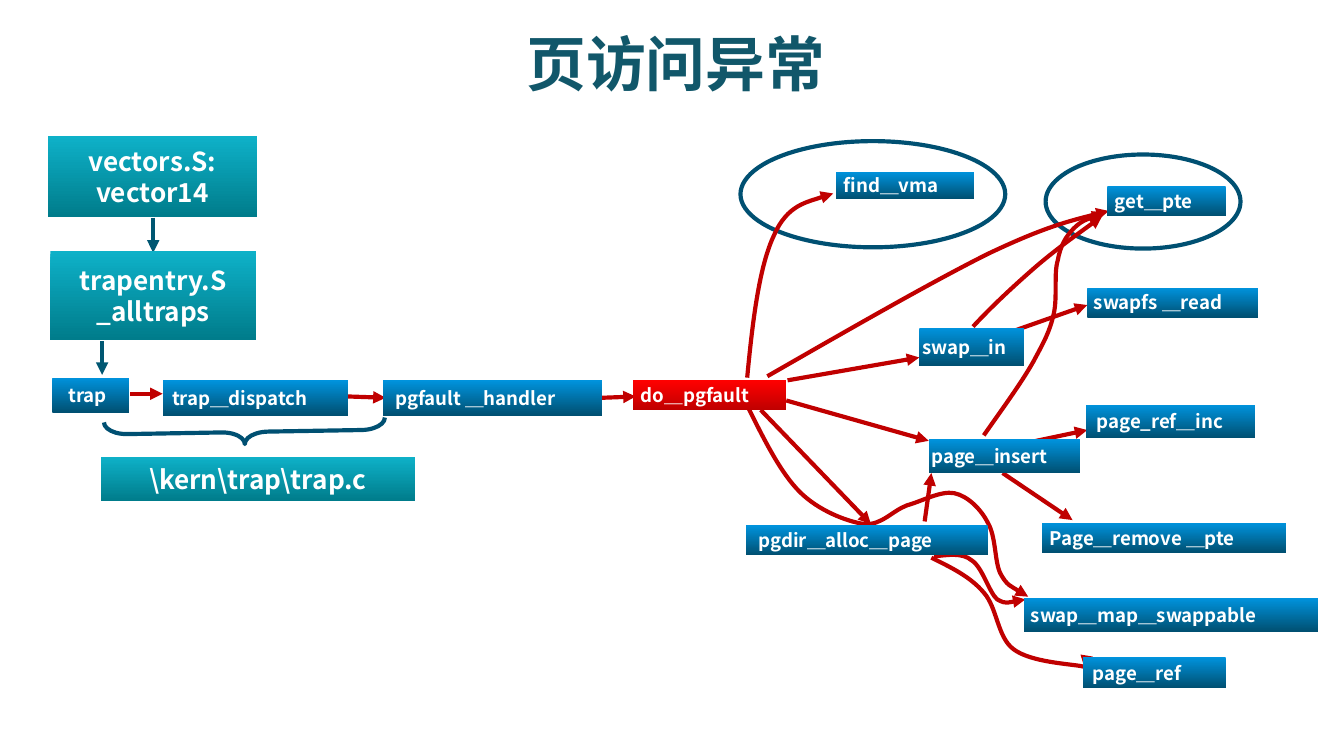
from dataclasses import dataclass

from lxml.etree import SubElement
from pptx import Presentation
from pptx.dml.color import RGBColor
from pptx.enum.shapes import MSO_CONNECTOR, MSO_SHAPE
from pptx.enum.text import MSO_ANCHOR, PP_ALIGN
from pptx.oxml.ns import qn
from pptx.util import Inches, Pt


@dataclass(frozen=True)
class Theme:
    font: str = "Noto Sans CJK SC"
    title_size: int = 32
    file_size: int = 14
    function_size: int = 10
    line_width: float = 2.25
    title: str = "11576A"
    text: str = "FFFFFF"
    call: str = "C00000"
    outline: str = "005072"
    entry: str = "005772"
    file_fill: tuple = ("0EB1C8", "007C8B")
    function_fill: tuple = ("0093DD", "005072")
    fault_fill: tuple = ("FF0000", "C00000")


THEME = Theme()
COLUMNS = 100  # square grid cells across the slide width
WIDTH = Inches(10)
HEIGHT = WIDTH * 9 // 16

# Source files: text, left, top, width, height
FILES = [
    ("vectors.S:\nvector14", 3.55, 10.15, 15.6, 6),
    ("trapentry.S\n_alltraps", 3.75, 18.7, 15.3, 6.6),
    (r"\kern\trap\trap.c", 7.5, 34, 23.4, 3.3),
]

# Functions: name, left, top, width, height, text indent
FUNCTIONS = [
    ("trap", 3.9, 28.1, 5.7, 2.6, 1.2),
    ("trap＿dispatch", 12.1, 28.3, 13.8, 2.6, 0.7),
    ("pgfault ＿handler", 28.5, 28.3, 16.3, 2.6, 0.9),
    ("do＿pgfault", 47.1, 28.3, 11.4, 2.2, 0.6),
    ("find＿vma", 62.2, 12.8, 10.3, 2, 0.6),
    ("get＿pte", 82.4, 13.85, 8.8, 2.2, 0.55),
    ("swapfs ＿read", 80.9, 21.4, 12.7, 2.2, 0.5),
    ("swap＿in", 68.4, 24.4, 7.8, 2.8, 0.2),
    ("page_ref＿inc", 80.8, 30.1, 12.6, 2.5, 0.8),
    ("page＿insert", 69.1, 32.7, 11.3, 2.5, 0.2),
    ("pgdir＿alloc＿page", 55.5, 39.1, 18, 2.2, 0.95),
    ("Page＿remove ＿pte", 77.5, 38.9, 18.2, 2.2, 0.6),
    ("swap＿map＿swappable", 76.2, 44.5, 21.9, 2.5, 0.5),
    ("page＿ref", 80.6, 48.9, 10.6, 2.3, 0.7),
]

# Highlights around the two lookups: left, top, width, height
LOOKUPS = [(55.1, 10.5, 19.7, 7.9), (77.8, 11.5, 14.5, 7)]

# Straight arrows: start, end
ENTRY_ARROWS = [((11.4, 16.2), (11.4, 18.8)), ((7.6, 25.4), (7.6, 27.9))]
CALL_ARROWS = [
    ((9.7, 29.3), (12.1, 29.3)),
    ((25.9, 29.5), (28.7, 29.6)),
    ((44.8, 29.6), (47.3, 29.5)),
    ((56.6, 30.5), (64.8, 39)),
    ((58.5, 29.8), (69.1, 32.8)),
    ((58.6, 28.3), (68.4, 26.6)),
    ((73.5, 25.3), (80.9, 22.7)),
    ((75.7, 33.1), (80.9, 32)),
    ((68.8, 38.8), (69.3, 35.2)),
    ((74.6, 35.2), (79.8, 38.7)),
]

# Curved arrows: start, then two handles and an end for each Bezier piece
CALL_CURVES = [
    # do_pgfault to find_vma
    [(55.6, 28.1), (56, 23.9), (56.5, 19.8), (57.6, 17.5),
     (58.6, 15.2), (62, 14.4), (62, 14.4)],
    # do_pgfault to get_pte
    [(57.1, 28), (63.2, 24.5), (69.3, 21), (73.5, 18.9),
     (77.7, 16.9), (80.1, 16.3), (82.5, 15.7)],
    # pgdir_alloc_page to page_ref
    [(69.3, 41.5), (70.7, 42.2), (72.2, 42.9), (73.2, 44.1),
     (74.2, 45.2), (74.2, 47.4), (75.4, 48.3),
     (76.7, 49.3), (79.7, 49.4), (80.6, 49.6),
     (81.5, 49.9), (81.1, 49.8), (80.7, 49.7)],
    # pgdir_alloc_page to swap_map_swappable
    [(69.5, 41.4), (70.5, 41.3), (71.6, 41.1), (72.3, 41.7),
     (73.1, 42.2), (73.6, 44.1), (74.2, 44.6),
     (74.9, 45), (76.3, 44.6), (76.3, 44.6)],
    # swap_in to get_pte
    [(72.4, 24.3), (73.8, 22.8), (75.3, 21.4), (76.9, 20),
     (78.5, 18.6), (82, 16.1), (82, 16.1)],
    # page_insert to get_pte
    [(73.2, 32.4), (74.6, 30.4), (76, 28.5), (76.9, 26.9),
     (77.7, 25.4), (78.1, 24.7), (78.4, 23.4),
     (78.7, 22.1), (78.4, 20.4), (78.7, 19.4),
     (78.9, 18.3), (79.3, 17.6), (79.9, 17),
     (80.5, 16.4), (82.2, 15.8), (82.2, 15.8)],
    # do_pgfault to swap_map_swappable
    [(55.7, 30.4), (56.9, 32.8), (58.1, 35.2), (59.5, 36.6),
     (60.9, 38), (63, 38.8), (64.3, 39),
     (65.6, 39.1), (66.4, 38), (67.5, 37.6),
     (68.6, 37.3), (70, 36.5), (71, 36.7),
     (72, 36.9), (73, 37.9), (73.5, 38.9),
     (74.1, 39.9), (74, 41.7), (74.4, 42.6),
     (74.9, 43.6), (76.5, 44.4), (76.5, 44.4)],
]


def grid(*cells):
    """Turn grid cells into slide lengths."""
    return [round(cell * WIDTH / COLUMNS) for cell in cells]


def write(frame, text, *, size, color, align=PP_ALIGN.LEFT,
          anchor=MSO_ANCHOR.MIDDLE, wrap=False, indent=1):
    frame.word_wrap = wrap
    frame.vertical_anchor = anchor
    frame.margin_left, frame.margin_right = grid(indent, 1)
    frame.margin_top = frame.margin_bottom = grid(0.5)[0]
    for number, line in enumerate(text.split("\n")):
        paragraph = frame.add_paragraph() if number else frame.paragraphs[0]
        paragraph.alignment = align
        run = paragraph.add_run()
        run.text = line
        run.font.size = Pt(size)
        run.font.bold = True
        run.font.color.rgb = RGBColor.from_string(color)
        run.font.name = THEME.font
        east_asian = SubElement(run._r.get_or_add_rPr(), qn("a:ea"))
        east_asian.set("typeface", THEME.font)


def stroke(shape, color, arrow=False):
    shape.line.color.rgb = RGBColor.from_string(color)
    shape.line.width = Pt(THEME.line_width)
    if arrow:
        SubElement(shape.line._get_or_add_ln(), qn("a:tailEnd"), type="triangle")


def add_box(slide, box, colors, text, **text_format):
    block = slide.shapes.add_shape(MSO_SHAPE.RECTANGLE, *grid(*box))
    block.shadow.inherit = False
    block.line.fill.background()
    block.fill.gradient()
    block.fill.gradient_angle = 270
    for stop, color in zip(block.fill.gradient_stops, colors):
        stop.color.rgb = RGBColor.from_string(color)
    write(block.text_frame, text, color=THEME.text, **text_format)


def add_outline(slide, kind, box):
    outline = slide.shapes.add_shape(kind, *grid(*box))
    outline.shadow.inherit = False
    outline.fill.background()
    stroke(outline, THEME.outline)
    return outline


def add_arrow(slide, start, end, color):
    arrow = slide.shapes.add_connector(MSO_CONNECTOR.STRAIGHT, *grid(*start, *end))
    stroke(arrow, color, arrow=True)
    SubElement(arrow._element.spPr, qn("a:effectLst"))


def add_curve(slide, points, color):
    start, *rest = [grid(*point) for point in points]
    builder = slide.shapes.build_freeform(*start)
    builder.add_line_segments(rest, close=False)
    curve = builder.convert_to_shape()
    curve.shadow.inherit = False
    curve.fill.background()
    stroke(curve, color, arrow=True)
    # Join every three segments into one Bezier piece
    outline = curve._element.find(".//" + qn("a:path"))
    for number, segment in enumerate(outline.findall(qn("a:lnTo"))):
        if number % 3 == 0:
            piece = SubElement(outline, qn("a:cubicBezTo"))
        piece.append(segment[0])
        outline.remove(segment)


def add_title(slide, text):
    title = slide.shapes.title
    title.left, title.top, title.width, title.height = grid(6.8, 1.2, 87, 6.6)
    write(title.text_frame, text, size=THEME.title_size, color=THEME.title,
          align=PP_ALIGN.CENTER, anchor=MSO_ANCHOR.BOTTOM, wrap=True)


def main():
    deck = Presentation()
    deck.slide_width, deck.slide_height = WIDTH, HEIGHT
    slide = deck.slides.add_slide(deck.slide_layouts[5])
    add_title(slide, "页访问异常")

    # Highlights and the brace over trap.c
    for lookup in LOOKUPS:
        add_outline(slide, MSO_SHAPE.OVAL, lookup)
    brace = add_outline(slide, MSO_SHAPE.RIGHT_BRACE, (17.3, 21.7, 1.8, 20.9))
    brace.adjustments[0] = 0.96
    brace.rotation = 89

    # Arrows lie behind the boxes
    for start, end in ENTRY_ARROWS:
        add_arrow(slide, start, end, THEME.entry)
    for start, end in CALL_ARROWS:
        add_arrow(slide, start, end, THEME.call)
    for points in CALL_CURVES:
        add_curve(slide, points, THEME.call)

    # Source files and functions
    for text, *box in FILES:
        add_box(slide, box, THEME.file_fill, text, size=THEME.file_size,
                align=PP_ALIGN.CENTER)
    for name, *box, indent in FUNCTIONS:
        fill = THEME.fault_fill if name == "do＿pgfault" else THEME.function_fill
        add_box(slide, box, fill, name, size=THEME.function_size, indent=indent)

    deck.save("out.pptx")


if __name__ == "__main__":
    main()
